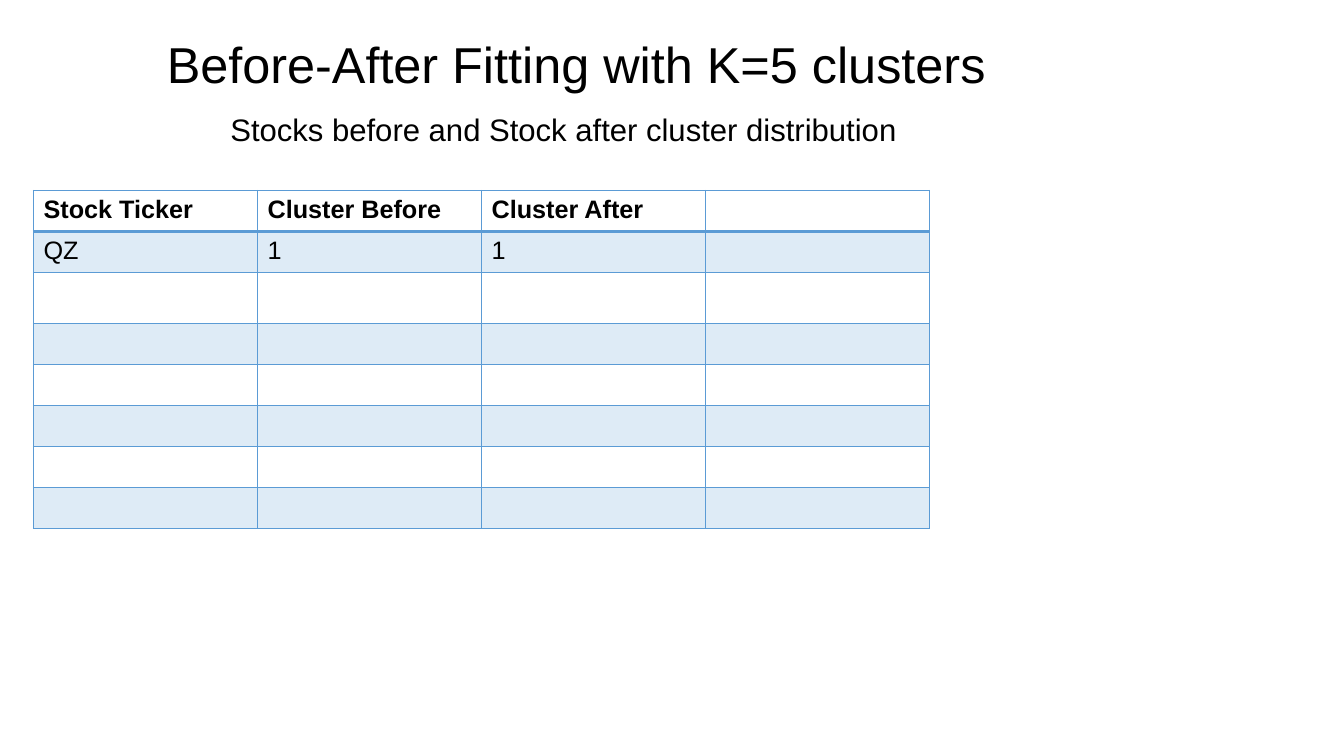
from lxml import etree
from pptx import Presentation
from pptx import util as u
from pptx.dml.color import RGBColor
from pptx.enum import text
from pptx.oxml import ns

THEME = {
    "font": "Arial",
    "ink": "000000",
    "accent": "5B9BD5",
    "band_alpha": 20,
    "title": 36,
    "subtitle": 22.2,
    "cell": 18,
    "rule": 1,
    "header_rule": 2,
}


def write(frame, content, size, bold=False, align=text.PP_ALIGN.LEFT,
          line=1.0, before=0, anchor=text.MSO_ANCHOR.TOP):
    frame.word_wrap = True
    frame.vertical_anchor = anchor
    paragraph = frame.paragraphs[0]
    paragraph.alignment = align
    paragraph.line_spacing = line
    paragraph.space_before = u.Pt(before)
    paragraph.font.size = u.Pt(size)
    run = paragraph.add_run()
    run.text = content
    run.font.name = THEME["font"]
    run.font.size = u.Pt(size)
    run.font.bold = bold
    run.font.color.rgb = RGBColor.from_string(THEME["ink"])


def add_rule(cell, side, width):
    rule = etree.SubElement(cell._tc.get_or_add_tcPr(), ns.qn(f"a:ln{side}"),
                            w=str(u.Pt(width)))
    paint = etree.SubElement(rule, ns.qn("a:solidFill"))
    etree.SubElement(paint, ns.qn("a:srgbClr"), val=THEME["accent"])


deck = Presentation()
deck.slide_width, deck.slide_height = u.Inches(13.33), u.Inches(7.5)
W, H = deck.slide_width, deck.slide_height
slide = deck.slides.add_slide(deck.slide_layouts[6])

title = slide.shapes.add_textbox(int(W * 0.054), int(H * 0.035), int(W * 0.75), int(H * 0.096))
write(title.text_frame, "Before-After Fitting with K=5 clusters", THEME["title"],
      align=text.PP_ALIGN.CENTER, line=0.9, anchor=text.MSO_ANCHOR.BOTTOM)

subtitle = slide.shapes.add_textbox(int(W * 0.147), int(H * 0.145), int(W * 0.545), int(H * 0.077))
write(subtitle.text_frame, "Stocks before and Stock after cluster distribution",
      THEME["subtitle"], align=text.PP_ALIGN.CENTER, line=0.9, before=10)

entries = [["Stock Ticker", "Cluster Before", "Cluster After"], ["QZ", "1", "1"]]
row_count, column_count = 8, 4
row_height, tall_row, tall_height = u.Inches(0.406), 2, u.Inches(0.51)
clusters = slide.shapes.add_table(
    row_count, column_count, int(W * 0.025), int(H * 0.252), int(W * 2 / 3),
    row_height * (row_count - 1) + tall_height).table
clusters.first_row = clusters.horz_banding = False

for r, row in enumerate(clusters.rows):
    row.height = tall_height if r == tall_row else row_height
    for c, cell in enumerate(row.cells):
        for side in "LRTB":
            under_header = (r, side) in ((0, "B"), (1, "T"))
            add_rule(cell, side, THEME["header_rule" if under_header else "rule"])
        if r % 2:
            cell.fill.solid()
            cell.fill.fore_color.rgb = RGBColor.from_string(THEME["accent"])
            tint = cell._tc.tcPr.find(ns.qn("a:solidFill")).find(ns.qn("a:srgbClr"))
            etree.SubElement(tint, ns.qn("a:alpha"), val=str(THEME["band_alpha"] * 1000))
        else:
            cell.fill.background()
        if r < len(entries) and c < len(entries[r]):
            write(cell.text_frame, entries[r][c], THEME["cell"], bold=r == 0)

deck.save("out.pptx")
